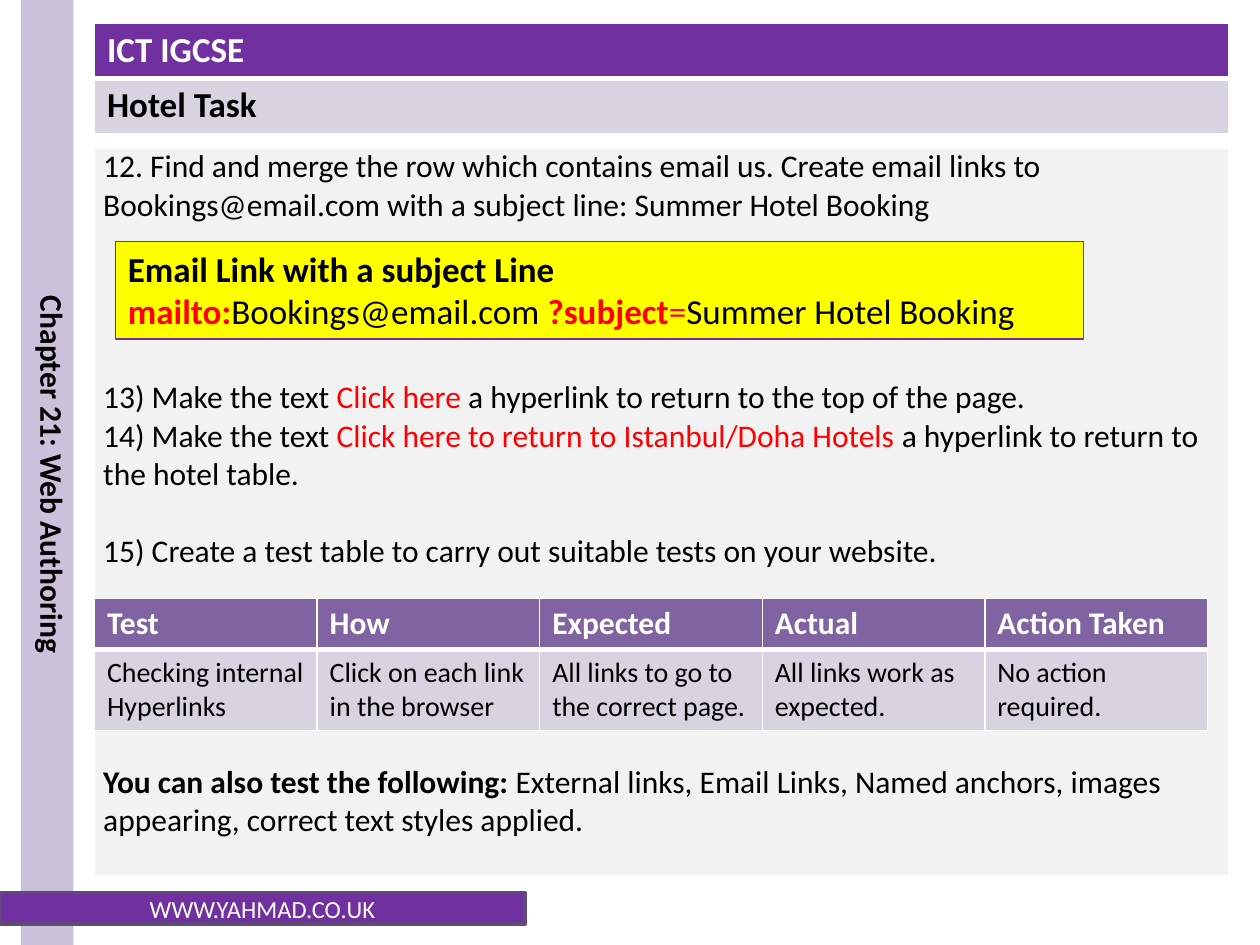
from dataclasses import dataclass

from lxml import etree
from pptx import Presentation
from pptx.dml.color import RGBColor
from pptx.enum.shapes import MSO_SHAPE
from pptx.enum.text import MSO_ANCHOR, PP_ALIGN
from pptx.oxml.ns import qn
from pptx.util import Pt

RECTANGLE = MSO_SHAPE.RECTANGLE
LEFT, CENTER = PP_ALIGN.LEFT, PP_ALIGN.CENTER
TOP, MIDDLE = MSO_ANCHOR.TOP, MSO_ANCHOR.MIDDLE

FONT = "Calibri"
COLORS = {
    "purple": "7030A0",
    "header": "8064A2",
    "lilac": "D8D3E0",
    "band": "CCC1DA",
    "footer_line": "5F4A78",
    "panel": "F2F2F2",
    "yellow": "FFFF00",
    "red": "FF0000",
    "black": "000000",
    "white": "FFFFFF",
}
CONTENT_LEFT, CONTENT_WIDTH = 54, 648
BODY_LINE = 22  # height of one 18 pt line


@dataclass(frozen=True)
class Run:
    text: str
    color: str | None = None
    bold: bool | None = None


@dataclass(frozen=True)
class Para:
    runs: tuple[Run, ...]
    lines_before: int = 0


@dataclass(frozen=True)
class Cell:
    paragraphs: tuple[Para, ...]
    fill: str
    size: float
    color: str = "black"
    bold: bool = False
    bottom_border: float = 1
    margins: tuple[float, float] = (7.2, 3.6)


def rgb(name: str) -> RGBColor:
    return RGBColor.from_string(COLORS[name])


def plain(text: str) -> tuple[Para, ...]:
    return (Para((Run(text),)),)


def write_text(frame, paragraphs, *, size, color="black", bold=False, align=LEFT, anchor=TOP):
    """Fill a text frame; a run's own colour and weight override the defaults."""
    frame.word_wrap = True
    frame.vertical_anchor = anchor
    for index, content in enumerate(paragraphs):
        paragraph = frame.paragraphs[0] if index == 0 else frame.add_paragraph()
        paragraph.alignment = align
        if content.lines_before:
            paragraph.space_before = Pt(content.lines_before * BODY_LINE)
        for part in content.runs:
            run = paragraph.add_run()
            run.text = part.text
            run.font.name = FONT
            run.font.size = Pt(size)
            run.font.bold = bold if part.bold is None else part.bold
            run.font.color.rgb = rgb(part.color or color)


def add_box(slide, left, top, width, height, fill, line=None, line_width=1.0):
    box = slide.shapes.add_shape(RECTANGLE, Pt(left), Pt(top), Pt(width), Pt(height))
    box.shadow.inherit = False
    box.fill.solid()
    box.fill.fore_color.rgb = rgb(fill)
    if line:
        box.line.color.rgb = rgb(line)
        box.line.width = Pt(line_width)
    else:
        box.line.fill.background()
    return box


def set_borders(cell, bottom: float) -> None:
    properties = cell._tc.get_or_add_tcPr()
    for side, width in (("lnL", 1), ("lnR", 1), ("lnT", 1), ("lnB", bottom)):
        border = etree.SubElement(properties, qn(f"a:{side}"), w=str(Pt(width)))
        fill = etree.SubElement(border, qn("a:solidFill"))
        etree.SubElement(fill, qn("a:srgbClr"), val=COLORS["white"])


def add_grid(slide, left, top, width, row_heights: list[float], rows: list[list[Cell]]) -> None:
    """Draw a table of equal columns."""
    column_count = len(rows[0])
    table = slide.shapes.add_table(
        len(rows), column_count, Pt(left), Pt(top), Pt(width), Pt(sum(row_heights))
    ).table
    table.first_row = table.horz_banding = False
    for column in table.columns:
        column.width = Pt(width / column_count)
    for r, (height, contents) in enumerate(zip(row_heights, rows)):
        table.rows[r].height = Pt(height)
        for c, content in enumerate(contents):
            cell = table.cell(r, c)
            set_borders(cell, content.bottom_border)
            cell.fill.solid()
            cell.fill.fore_color.rgb = rgb(content.fill)
            side, vertical = content.margins
            cell.margin_left = cell.margin_right = Pt(side)
            cell.margin_top = cell.margin_bottom = Pt(vertical)
            write_text(cell.text_frame, content.paragraphs, size=content.size,
                       color=content.color, bold=content.bold)


HEADING = [
    [Cell(plain("ICT IGCSE"), "purple", 20, "white", True, bottom_border=3)],
    [Cell(plain("Hotel Task"), "lilac", 20, bold=True)],
]

TASKS = (
    Para((Run("12. Find and merge the row which contains email us. Create email links to "
              "Bookings@email.com with a subject line: Summer Hotel Booking"),)),
    Para((Run("13) Make the text "), Run("Click here", "red"),
          Run(" a hyperlink to return to the top of the page.")), lines_before=4),
    Para((Run("14) Make the text "),
          Run("Click here to return to Istanbul/Doha Hotels ", "red"),
          Run("a hyperlink to return to the hotel table."))),
    Para((Run("15) Create a test table to carry out suitable tests on your website."),),
         lines_before=1),
    Para((Run("You can also test the following: ", bold=True),
          Run("External links, Email Links, Named anchors, images appearing, "
              "correct text styles applied.")), lines_before=5),
)

EMAIL_EXAMPLE = (
    Para((Run("Email Link with a subject Line", bold=True),)),
    Para((Run("mailto:", "red", True), Run("Bookings@email.com "),
          Run("?subject", "red", True), Run("=", "red"), Run("Summer Hotel Booking"))),
)

TEST_PLAN = {
    "Test": "Checking internal Hyperlinks",
    "How": "Click on each link in the browser",
    "Expected": "All links to go to the correct page.",
    "Actual": "All links work as expected.",
    "Action Taken": "No action required.",
}


def main() -> None:
    presentation = Presentation()
    presentation.slide_width, presentation.slide_height = Pt(720), Pt(540)
    slide = presentation.slides.add_slide(presentation.slide_layouts[6])

    add_grid(slide, CONTENT_LEFT, 13, CONTENT_WIDTH, [31.3, 31.3], HEADING)

    add_box(slide, 12, 0, 30, 540, "band")
    chapter = slide.shapes.add_textbox(Pt(8.6), Pt(162), Pt(36), Pt(378)).text_frame
    write_text(chapter, plain("Chapter 21: Web Authoring"), size=18, bold=True)
    chapter._txBody.bodyPr.set("vert", "vert")

    footer = add_box(slide, 0, 510, 300, 18, "purple", "footer_line", 2)
    write_text(footer.text_frame, plain("WWW.YAHMAD.CO.UK"), size=14, color="white",
               align=CENTER, anchor=MIDDLE)

    tasks = Cell(TASKS, "panel", 18, bottom_border=3, margins=(5, 0))
    add_grid(slide, CONTENT_LEFT, 84.5, CONTENT_WIDTH, [19 * BODY_LINE - 1], [[tasks]])

    example = add_box(slide, 66, 138, 553, 55.7, "yellow", "purple", 0.75)
    write_text(example.text_frame, EMAIL_EXAMPLE, size=20)

    add_grid(slide, CONTENT_LEFT, 342, 636, [29.2, 45.6], [
        [Cell(plain(name), "header", 18, "white", True, bottom_border=3) for name in TEST_PLAN],
        [Cell(plain(entry), "lilac", 16) for entry in TEST_PLAN.values()],
    ])

    presentation.save("out.pptx")


if __name__ == "__main__":
    main()
